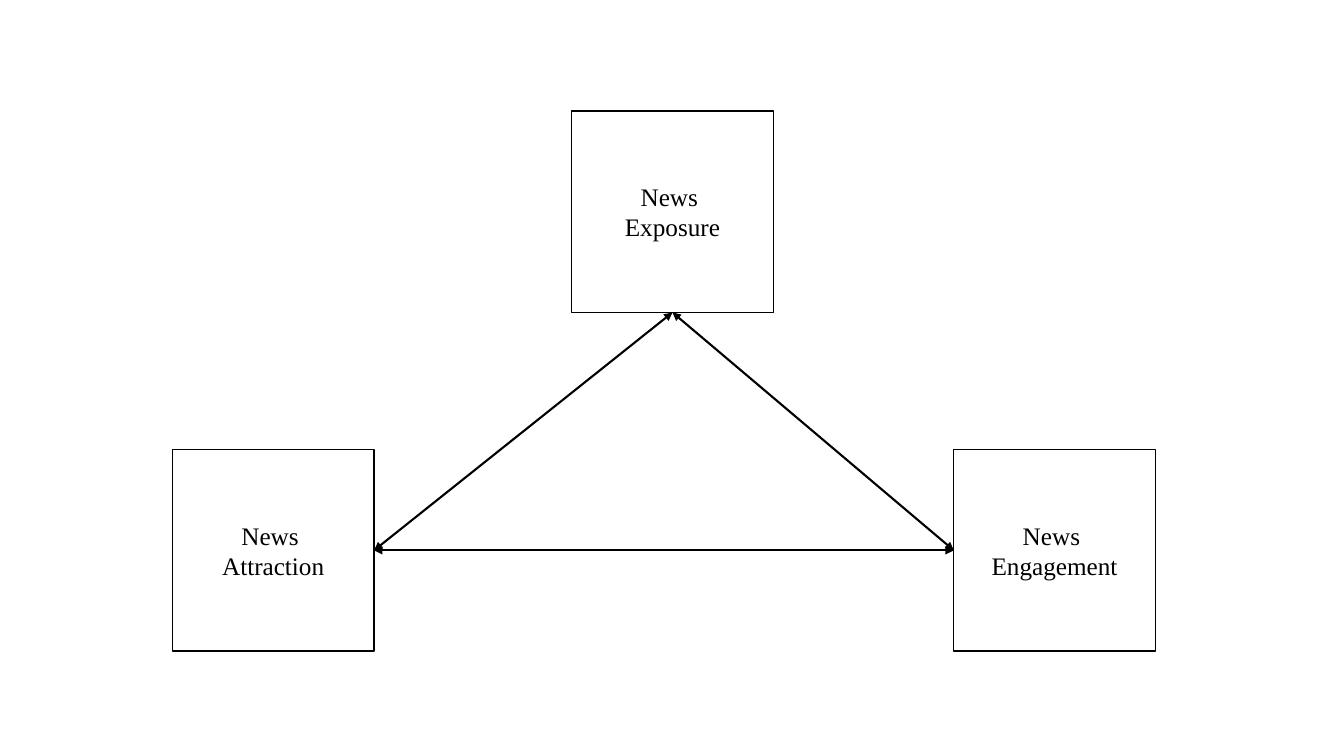
"""Draw the triangle of news exposure, attraction and engagement."""
from dataclasses import dataclass

from lxml import etree
from pptx import Presentation, util as u
from pptx.dml.color import RGBColor
from pptx.enum import shapes, text
from pptx.oxml.ns import qn

PX = 9144
BOX_SIDE = 200
TOP, LEFT, BOTTOM, RIGHT = range(4)


@dataclass(frozen=True)
class Theme:
    ink: RGBColor = RGBColor(0, 0, 0)
    font: str = "Times New Roman"
    label_size: u.Pt = u.Pt(18)
    box_line: u.Pt = u.Pt(1)
    arrow_line: u.Pt = u.Pt(1.5)


@dataclass(frozen=True)
class Concept:
    label: str
    left: int
    top: int


@dataclass(frozen=True)
class Relation:
    source: str
    source_side: int
    target: str
    target_side: int


THEME = Theme()
CONCEPTS = (
    Concept("Attraction", 171, 446),
    Concept("Exposure", 567, 110),
    Concept("Engagement", 946, 446),
)
RELATIONS = (
    Relation("Attraction", RIGHT, "Exposure", BOTTOM),
    Relation("Attraction", RIGHT, "Engagement", LEFT),
    Relation("Engagement", LEFT, "Exposure", BOTTOM),
)


def px(length: int) -> u.Emu:
    return u.Emu(length * PX)


def draw_concept(slide, concept: Concept):
    box = slide.shapes.add_shape(
        shapes.MSO_SHAPE.RECTANGLE,
        px(concept.left), px(concept.top), px(BOX_SIDE), px(BOX_SIDE),
    )
    box.shadow.inherit = False
    box.fill.background()
    box.line.color.rgb = THEME.ink
    box.line.width = THEME.box_line
    frame = box.text_frame
    frame.vertical_anchor = text.MSO_ANCHOR.MIDDLE
    frame.text = f"News \n{concept.label}"
    for paragraph in frame.paragraphs:
        paragraph.alignment = text.PP_ALIGN.CENTER
        paragraph.font.name = THEME.font
        paragraph.font.size = THEME.label_size
        paragraph.font.color.rgb = THEME.ink
    return box


def draw_relation(slide, relation: Relation, boxes: dict) -> None:
    arrow = slide.shapes.add_connector(shapes.MSO_CONNECTOR.STRAIGHT, 0, 0, 0, 0)
    arrow.begin_connect(boxes[relation.source], relation.source_side)
    arrow.end_connect(boxes[relation.target], relation.target_side)
    arrow.line.color.rgb = THEME.ink
    arrow.line.width = THEME.arrow_line
    properties = arrow._element.spPr
    outline = properties.find(qn("a:ln"))
    for tag in ("a:headEnd", "a:tailEnd"):
        etree.SubElement(outline, qn(tag), type="triangle")
    etree.SubElement(properties, qn("a:effectLst"))


def main() -> None:
    deck = Presentation()
    deck.slide_width, deck.slide_height = px(1333), px(750)
    slide = deck.slides.add_slide(deck.slide_layouts[6])
    boxes = {concept.label: draw_concept(slide, concept) for concept in CONCEPTS}
    for relation in RELATIONS:
        draw_relation(slide, relation, boxes)
    deck.save("out.pptx")


if __name__ == "__main__":
    main()
